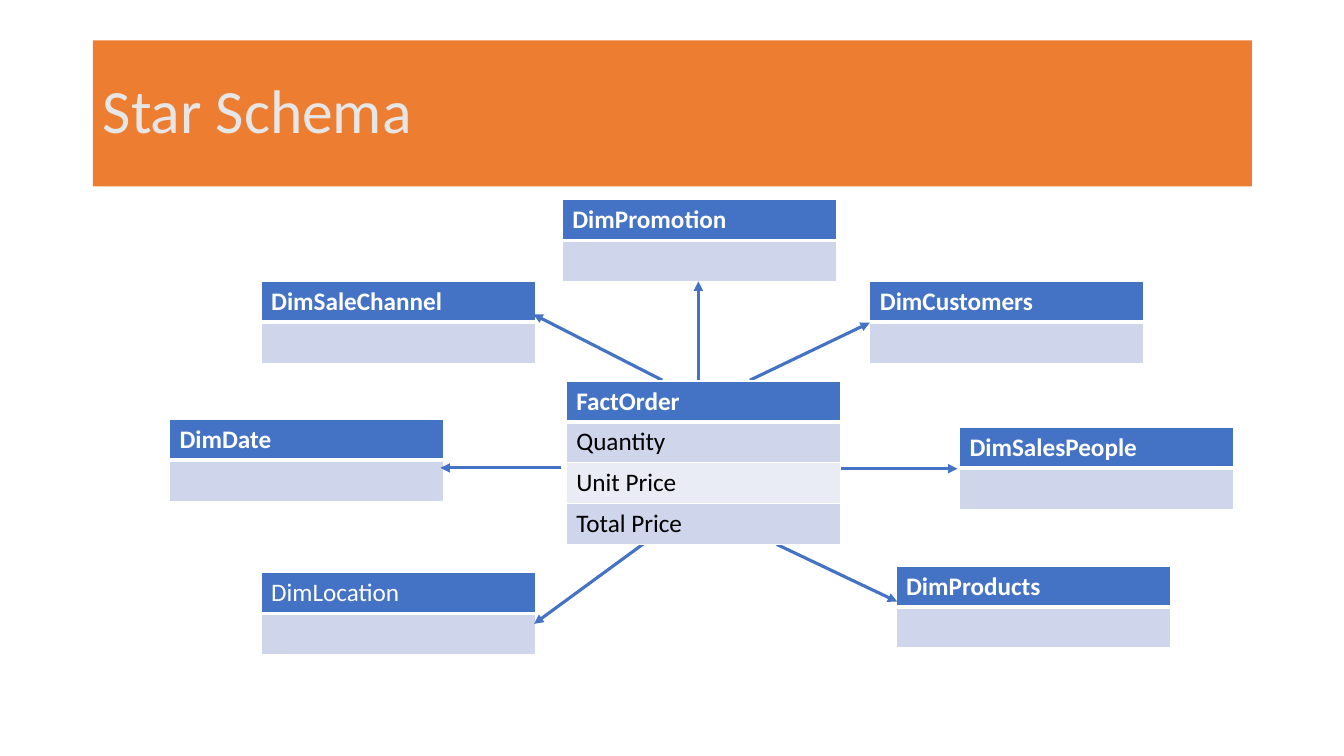
import pptx
import pptx.dml.color
import pptx.enum.shapes
import pptx.enum.text
import pptx.oxml.ns
import pptx.util
from lxml import etree

Cm, Pt = pptx.util.Cm, pptx.util.Pt
qn = pptx.oxml.ns.qn

WIDTH, ROW = 6.91, 1.03

# name, left, top, bold heading
DIMS = [
    ("DimDate", 4.27, 10.57, True),
    ("DimSaleChannel", 6.58, 7.09, True),
    ("DimSalesPeople", 24.18, 10.77, True),
    ("DimPromotion", 14.17, 5.03, True),
    ("DimLocation", 6.58, 14.43, False),
    ("DimProducts", 22.58, 14.27, True),
    ("DimCustomers", 21.92, 7.09, True),
]

# from the fact table to each dimension: x1, y1, x2, y2
ARROWS = [
    (21.08, 11.81, 24.13, 11.81),
    (18.9, 9.58, 21.92, 8.13),
    (16.69, 9.58, 13.44, 7.92),
    (17.6, 9.63, 17.6, 7.09),
    (14.15, 11.79, 11.1, 11.79),
    (19.58, 13.72, 22.61, 15.16),
    (16.26, 13.67, 13.46, 15.72),
]


def color(text):
    return pptx.dml.color.RGBColor.from_string(text)


class Page:
    font = "Calibri"
    blue, orange, white, black = "4472C4", "ED7D31", "FFFFFF", "000000"
    grey = "E7E6E6"
    bands = ("CFD5EA", "E9EBF5")

    def __init__(self, deck):
        self.slide = deck.slides.add_slide(deck.slide_layouts[6])
        self.shapes = self.slide.shapes

    def style(self, para, size, tint, bold=False):
        for run in para.runs:
            run.font.name = self.font
            run.font.size = Pt(size)
            run.font.bold = bold
            run.font.color.rgb = color(tint)

    def title(self, text, *box):
        kind = pptx.enum.shapes.MSO_SHAPE.RECTANGLE
        bar = self.shapes.add_shape(kind, *map(Cm, box))
        bar.shadow.inherit = False
        bar.fill.solid()
        bar.fill.fore_color.rgb = color(self.orange)
        bar.line.fill.background()
        frame = bar.text_frame
        frame.text = text
        frame.vertical_anchor = pptx.enum.text.MSO_ANCHOR.MIDDLE
        para = frame.paragraphs[0]
        para.alignment = pptx.enum.text.PP_ALIGN.LEFT
        para.line_spacing = 0.9
        self.style(para, 44, self.grey)

    def arrow(self, *ends):
        kind = pptx.enum.shapes.MSO_CONNECTOR.STRAIGHT
        link = self.shapes.add_connector(kind, *map(Cm, ends))
        link.line.color.rgb = color(self.blue)
        link.line.width = Pt(2.25)
        props = link.line._get_or_add_ln()
        etree.SubElement(props, qn("a:tailEnd"), type="triangle")
        etree.SubElement(link._element.spPr, qn("a:effectLst"))

    def border(self, cell, **widths):
        """Draw white cell edges; widths are points for L, R, T and B."""
        props = cell._tc.get_or_add_tcPr()
        for side, width in widths.items():
            edge = etree.SubElement(props, qn("a:ln" + side), w=str(Pt(width)))
            fill = etree.SubElement(edge, qn("a:solidFill"))
            etree.SubElement(fill, qn("a:srgbClr"), val=self.white)

    def table(self, rows, left, top, bold=True):
        """Add a one-column table whose first row is the heading."""
        size = Cm(WIDTH), Cm(ROW * len(rows))
        grid = self.shapes.add_table(len(rows), 1, Cm(left), Cm(top), *size).table
        for i, text in enumerate(rows):
            head = i == 0
            grid.rows[i].height = Cm(ROW)
            cell = grid.cell(i, 0)
            self.border(cell, L=1, R=1, T=3 if i == 1 else 1, B=3 if head else 1)
            cell.fill.solid()
            fill = self.blue if head else self.bands[(i - 1) % 2]
            cell.fill.fore_color.rgb = color(fill)
            if text:
                cell.text_frame.text = text
                tint = self.white if head else self.black
                self.style(cell.text_frame.paragraphs[0], 18, tint, head and bold)


def main():
    deck = pptx.Presentation()
    deck.slide_width, deck.slide_height = Cm(33.87), Cm(19.05)
    page = Page(deck)
    page.title("Star Schema", 2.34, 1.02, 29.21, 3.68)
    for name, left, top, bold in DIMS:
        page.table([name, ""], left, top, bold)
    for ends in ARROWS:
        page.arrow(*ends)
    page.table(["FactOrder", "Quantity", "Unit Price", "Total Price"], 14.27, 9.6)
    deck.save("out.pptx")


if __name__ == "__main__":
    main()
